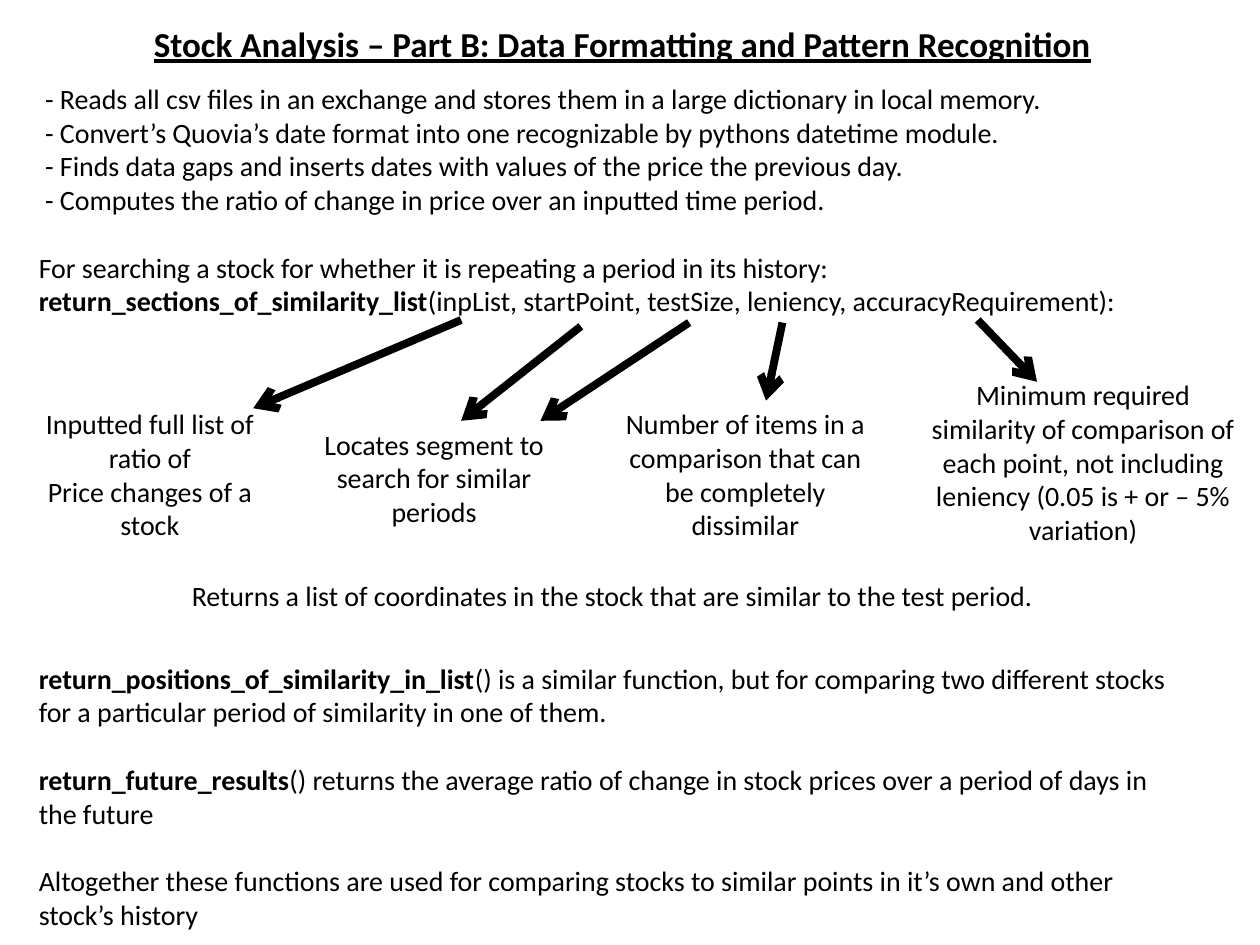
from lxml.etree import SubElement
from pptx import Presentation
from pptx.dml.color import RGBColor
from pptx.enum.shapes import MSO_CONNECTOR as Connector
from pptx.enum.text import MSO_AUTO_SIZE as AutoSize, PP_ALIGN as Align
from pptx.oxml.ns import qn
from pptx.util import Inches, Pt

BLACK = RGBColor(0, 0, 0)
FONT = "Calibri"
BODY_SIZE = 16
LINE_GAP = Pt(19.5)


def add_text(slide, box, paragraphs, align=Align.LEFT, size=BODY_SIZE,
             underline=None, gaps_before=()):
    """Write paragraphs of (wording, bold) runs in a box; gaps_before lists indexes set one line apart."""
    frame = slide.shapes.add_textbox(*map(Inches, box)).text_frame
    frame.word_wrap = True
    frame.auto_size = AutoSize.SHAPE_TO_FIT_TEXT
    for index, runs in enumerate(paragraphs):
        paragraph = frame.paragraphs[0] if index == 0 else frame.add_paragraph()
        paragraph.alignment = align
        if index in gaps_before:
            paragraph.space_before = LINE_GAP
        for wording, bold in runs:
            run = paragraph.add_run()
            run.text = wording
            font = run.font
            font.name, font.size, font.bold = FONT, Pt(size), bold
            font.underline = underline
            font.color.rgb = BLACK


def add_arrow(slide, start, end):
    """Draw a thick black arrow from start to end."""
    arrow = slide.shapes.add_connector(
        Connector.STRAIGHT, *map(Inches, (*start, *end)))
    arrow.line.color.rgb = BLACK
    arrow.line.width = Pt(4.5)
    SubElement(arrow.line._get_or_add_ln(), qn("a:tailEnd"), type="arrow")
    SubElement(arrow._element.spPr, qn("a:effectLst"))


def add_title(slide, box):
    """Place the underlined heading."""
    heading = "Stock Analysis – Part B: Data Formatting and Pattern Recognition"
    add_text(slide, box, [[(heading, True)]], Align.CENTER, 20, True)


def add_overview(slide, box):
    """Place the list of steps and the signature of the search function."""
    steps = [
        "Reads all csv files in an exchange and stores them in a large dictionary in local memory.",
        "Convert’s Quovia’s date format into one recognizable by pythons datetime module.",
        "Finds data gaps and inserts dates with values of the price the previous day.",
        "Computes the ratio of change in price over an inputted time period.",
    ]
    search = [
        [("For searching a stock for whether it is repeating a period in its history:", False)],
        [("return_sections_of_similarity_list", True),
         ("(inpList, startPoint, testSize, leniency, accuracyRequirement):", False)],
    ]
    add_text(slide, box, [[(f" - {step}", False)] for step in steps] + search,
             gaps_before=(len(steps),))


def add_parameters(slide, box):
    """Place the parameter notes, their arrows and the returned value in the box."""
    left, top, width, _ = box
    arrows = [
        ((3.45, 0), (1.8, 0.7)),
        ((4.4, 0.05), (3.45, 0.8)),
        ((5.26, 0.02), (4.08, 0.8)),
        ((6, 0.02), (5.87, 0.64)),
        ((7.55, 0), (8.02, 0.49)),
    ]
    for start, end in arrows:
        add_arrow(slide, *((left + x, top + y) for x, y in (start, end)))

    notes = [
        (0, 0.64, 1.96, 1.18, ["Inputted full list of ratio of", "Price changes of a stock"]),
        (2.24, 0.8, 1.99, 0.91, ["Locates segment to search for similar periods"]),
        (4.58, 0.64, 2.25, 1.18,
         ["Number of items in a comparison that can be completely dissimilar"]),
        (7.01, 0.41, 2.75, 1.45,
         ["Minimum required similarity of comparison of each point, "
          "not including leniency (0.05 is + or – 5% variation)"]),
        (0.71, 2, 7.88, 0.37,
         ["Returns a list of coordinates in the stock that are similar to the test period."]),
    ]
    for x, y, note_width, note_height, lines in notes:
        add_text(slide, (left + x, top + y, note_width, note_height),
                 [[(line, False)] for line in lines], Align.CENTER)


def add_related_functions(slide, box):
    """Place the notes on the other functions and the closing remark."""
    add_text(slide, box, [
        [("return_positions_of_similarity_in_list", True),
         ("() is a similar function, but for comparing two different stocks "
          "for a particular period of similarity in one of them.", False)],
        [("return_future_results", True),
         ("() returns the average ratio of change in stock prices "
          "over a period of days in the future", False)],
        [("Altogether these functions are used for comparing stocks to similar "
          "points in it’s own and other stock’s history", False)],
    ], gaps_before=(1, 2))


def build():
    """Build and save the slide."""
    deck = Presentation()
    deck.slide_width, deck.slide_height = Inches(10), Inches(7.5)
    slide = deck.slides.add_slide(deck.slide_layouts[6])
    add_title(slide, (0.45, 0.13, 8.98, 0.44))
    add_overview(slide, (0.21, 0.6, 9.44, 1.99))
    add_parameters(slide, (0.21, 2.54, 9.76, 2.37))
    add_related_functions(slide, (0.21, 5.2, 9.22, 2.26))
    deck.save("out.pptx")


build()
